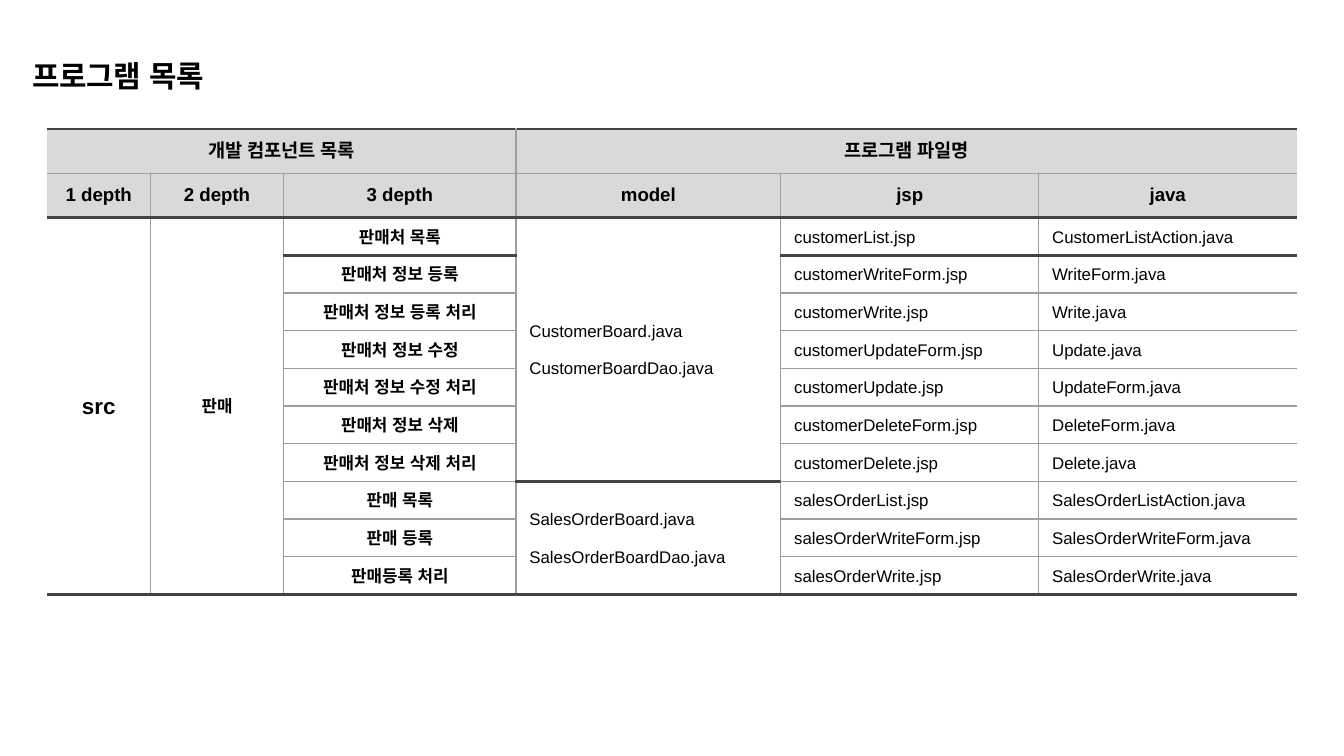
from lxml import etree
from pptx import Presentation
from pptx.dml.color import RGBColor
from pptx.enum.text import MSO_ANCHOR, PP_ALIGN
from pptx.oxml.ns import qn
from pptx.util import Inches, Pt

CENTER, LEFT = PP_ALIGN.CENTER, PP_ALIGN.LEFT
MIDDLE = MSO_ANCHOR.MIDDLE

BLACK = RGBColor(0x00, 0x00, 0x00)
HEADER_GRAY = RGBColor(0xD9, 0xD9, 0xD9)
RULE_GRAY = RGBColor(0x9E, 0x9E, 0x9E)
RULE_DARK = RGBColor(0x43, 0x43, 0x43)
FONT = "Arial"

COLUMN_WIDTHS = [0.77, 0.99, 1.73, 1.97, 1.92, 1.92]
HEADER_HEIGHT, BODY_HEIGHT = 0.33, 0.23
HEADER_ROWS = 2

PROGRAMS = [
    ("판매처 목록", "customerList.jsp", "CustomerListAction.java"),
    ("판매처 정보 등록", "customerWriteForm.jsp", "WriteForm.java"),
    ("판매처 정보 등록 처리", "customerWrite.jsp", "Write.java"),
    ("판매처 정보 수정", "customerUpdateForm.jsp", "Update.java"),
    ("판매처 정보 수정 처리", "customerUpdate.jsp", "UpdateForm.java"),
    ("판매처 정보 삭제", "customerDeleteForm.jsp", "DeleteForm.java"),
    ("판매처 정보 삭제 처리", "customerDelete.jsp", "Delete.java"),
    ("판매 목록", "salesOrderList.jsp", "SalesOrderListAction.java"),
    ("판매 등록", "salesOrderWriteForm.jsp", "SalesOrderWriteForm.java"),
    ("판매등록 처리", "salesOrderWrite.jsp", "SalesOrderWrite.java"),
]
ROW_COUNT, COLUMN_COUNT = HEADER_ROWS + len(PROGRAMS), len(COLUMN_WIDTHS)

# Each entry: row, column, row span, column span, lines, size, bold, alignment
entries = [
    (0, 0, 1, 3, ["개발 컴포넌트 목록"], 10, True, CENTER),
    (0, 3, 1, 3, ["프로그램 파일명"], 10, True, CENTER),
    (2, 0, 10, 1, ["src"], 12, True, CENTER),
    (2, 1, 10, 1, ["판매"], 9, True, CENTER),
    (2, 3, 7, 1, ["CustomerBoard.java", "CustomerBoardDao.java"], 9, False, LEFT),
    (9, 3, 3, 1, ["SalesOrderBoard.java", "SalesOrderBoardDao.java"], 9, False, LEFT),
]
for column, heading in enumerate(["1 depth", "2 depth", "3 depth", "model", "jsp", "java"]):
    entries.append((1, column, 1, 1, [heading], 10, True, CENTER))
for row, (task, jsp, java) in enumerate(PROGRAMS, start=HEADER_ROWS):
    entries.append((row, 2, 1, 1, [task], 9, True, CENTER))
    entries.append((row, 4, 1, 1, [jsp], 9, False, LEFT))
    entries.append((row, 5, 1, 1, [java], 9, False, LEFT))


def add_text(paragraph, text, size, bold):
    run = paragraph.add_run()
    run.text = text
    run.font.name = FONT
    run.font.size = Pt(size)
    run.font.bold = bold
    run.font.color.rgb = BLACK
    etree.SubElement(run.font._element, qn("a:ea"), typeface=FONT)


def set_borders(cell, borders):
    """Draw the (side, colour, points) borders of a cell; colour None hides a side."""
    properties = cell._tc.get_or_add_tcPr()
    for position, (side, color, points) in enumerate(borders):
        line = etree.Element(qn("a:ln" + side), w=str(Pt(points)))
        if color is None:
            etree.SubElement(line, qn("a:noFill"))
        else:
            fill = etree.SubElement(line, qn("a:solidFill"))
            etree.SubElement(fill, qn("a:srgbClr"), val=str(color))
        properties.insert(position, line)


prs = Presentation()
prs.slide_width = Inches(10)
prs.slide_height = Inches(10) * 9 // 16
slide = prs.slides.add_slide(prs.slide_layouts[6])

title = slide.shapes.add_textbox(Inches(0.14), Inches(0.33), Inches(2.7), Inches(0.63))
title_frame = title.text_frame
title_frame.word_wrap = True
title_frame.margin_left = title_frame.margin_right = Inches(0.1)
title_frame.margin_top = title_frame.margin_bottom = Inches(0.1)
add_text(title_frame.paragraphs[0], "프로그램 목록", 16, True)

table = slide.shapes.add_table(
    ROW_COUNT, COLUMN_COUNT, Inches(0.35), Inches(0.96), Inches(9.3), Inches(3.16)
).table
table.first_row = table.horz_banding = False
for column, width in zip(table.columns, COLUMN_WIDTHS):
    column.width = Inches(width)
for index, row in enumerate(table.rows):
    row.height = Inches(HEADER_HEIGHT if index < HEADER_ROWS else BODY_HEIGHT)

for row, column, row_span, column_span, lines, size, bold, alignment in entries:
    bottom, right = row + row_span, column + column_span
    cell = table.cell(row, column)
    if row_span > 1 or column_span > 1:
        cell.merge(table.cell(bottom - 1, right - 1))

    cell.vertical_anchor = MIDDLE
    if row >= HEADER_ROWS:
        cell.margin_top, cell.margin_bottom = Inches(0.07), Inches(0.06)
    for index, text in enumerate(lines):
        paragraph = cell.text_frame.add_paragraph() if index else cell.text_frame.paragraphs[0]
        paragraph.alignment = alignment
        if index:
            paragraph.space_before = Pt(10)
        add_text(paragraph, text, size, bold)

    # Heavy rules frame the header, the first program, the model groups and the table
    heavy_edges = {0, HEADER_ROWS, HEADER_ROWS + 1, ROW_COUNT}
    if column == 3:
        heavy_edges.add(9)
    edges = {
        "L": RULE_GRAY if column > 0 else None,
        "R": RULE_GRAY if right < COLUMN_COUNT else None,
        "T": RULE_DARK if row in heavy_edges else RULE_GRAY,
        "B": RULE_DARK if bottom in heavy_edges else RULE_GRAY,
    }
    for r in range(row, bottom):
        for c in range(column, right):
            part = table.cell(r, c)
            if row < HEADER_ROWS:
                part.fill.solid()
                part.fill.fore_color.rgb = HEADER_GRAY
            else:
                part.fill.background()
            origin = (r, c) == (row, column)
            outer = {"L": c == column, "R": c == right - 1, "T": r == row, "B": r == bottom - 1}
            borders = []
            for side, color in edges.items():
                shown = color if origin or outer[side] else None
                borders.append((side, shown, 1.5 if shown == RULE_DARK else 0.75))
            set_borders(part, borders)

prs.save("out.pptx")
